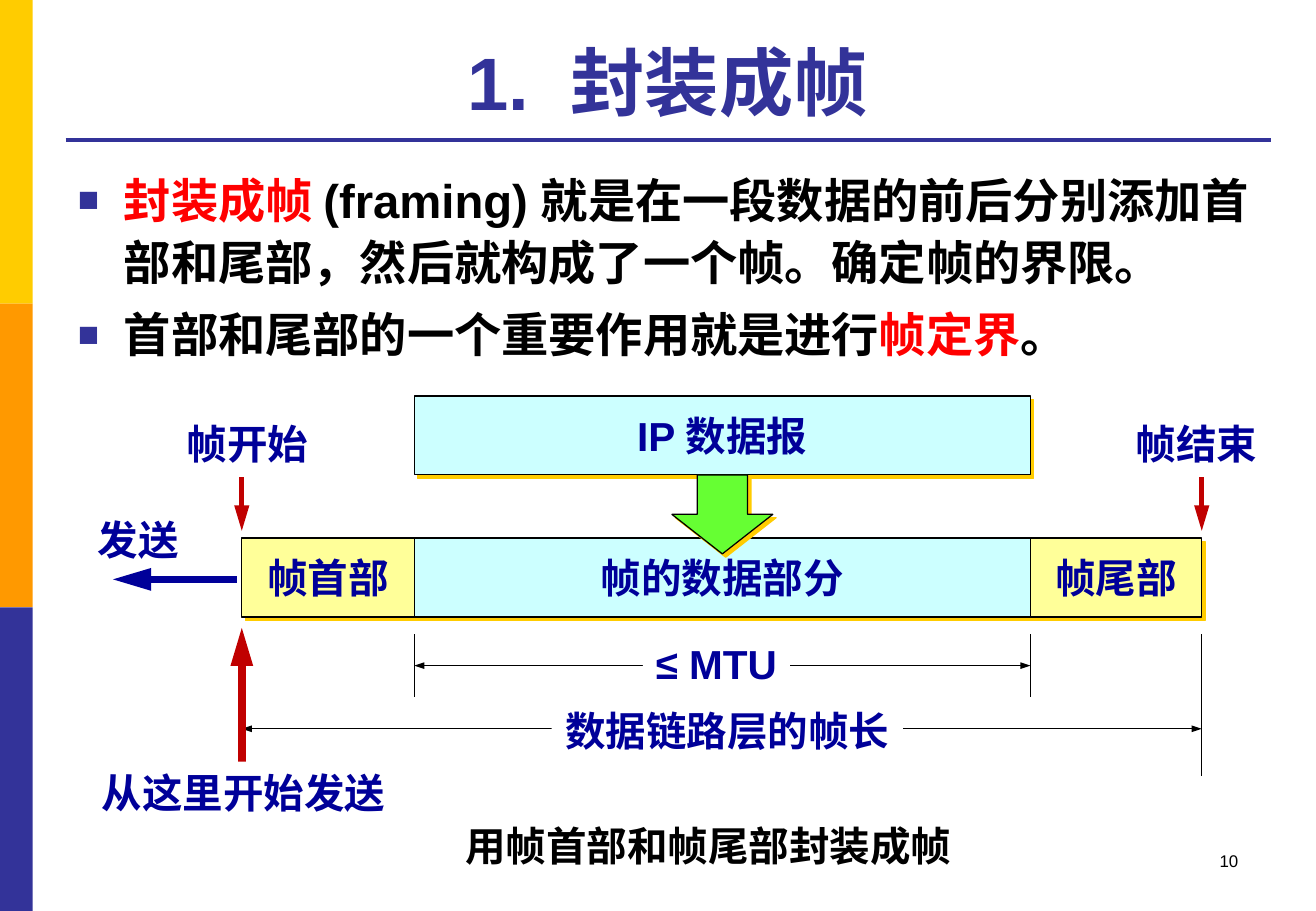
from dataclasses import dataclass

from lxml import etree
from pptx import Presentation
from pptx.dml.color import RGBColor
from pptx.enum.lang import MSO_LANGUAGE_ID
from pptx.enum.shapes import MSO_CONNECTOR, MSO_SHAPE
from pptx.enum.text import MSO_ANCHOR, MSO_AUTO_SIZE, PP_ALIGN
from pptx.oxml.ns import qn
from pptx.util import Inches, Pt

RECT, DOWN_ARROW = MSO_SHAPE.RECTANGLE, MSO_SHAPE.DOWN_ARROW
STRAIGHT = MSO_CONNECTOR.STRAIGHT
LEFT, CENTER, RIGHT = PP_ALIGN.LEFT, PP_ALIGN.CENTER, PP_ALIGN.RIGHT
TOP, MIDDLE, BOTTOM = MSO_ANCHOR.TOP, MSO_ANCHOR.MIDDLE, MSO_ANCHOR.BOTTOM
NO_AUTOSIZE = MSO_AUTO_SIZE.NONE
CHINESE = MSO_LANGUAGE_ID.SIMPLIFIED_CHINESE


@dataclass(frozen=True)
class Theme:
    font: str = "Arial"
    title: int = 44
    body: int = 28
    label: int = 24
    number: int = 10
    indigo: str = "333399"
    navy: str = "000099"
    gold: str = "FFCC00"
    orange: str = "FF9900"
    red: str = "FF0000"
    dark_red: str = "C00000"
    yellow: str = "FFFF99"
    cyan: str = "CCFFFF"
    green: str = "66FF33"
    white: str = "FFFFFF"
    black: str = "000000"
    hairline: float = 0.75


def rgb(color):
    return RGBColor.from_string(color)


class SlideBuilder:
    def __init__(self, prs, theme):
        self.theme = theme
        self.s = prs.slides.add_slide(prs.slide_layouts[1])

    def place(self, sp, left, top, width, height):
        box = {"left": left, "top": top, "width": width, "height": height}
        for name, value in box.items():
            setattr(sp, name, Inches(value))

    def frame(self, sp, anchor, wrap):
        tf = sp.text_frame
        options = {"auto_size": NO_AUTOSIZE, "word_wrap": wrap, "vertical_anchor": anchor}
        for name, value in options.items():
            setattr(tf, name, value)
        return tf

    def run(self, p, text, size, color, bold=True):
        r = p.add_run()
        r.text = text
        style = {"name": self.theme.font, "size": Pt(size), "bold": bold, "language_id": CHINESE}
        for name, value in style.items():
            setattr(r.font, name, value)
        r.font.color.rgb = rgb(color)

    def title(self, text, *box):
        sp = self.s.shapes.title
        self.place(sp, *box)
        p = self.frame(sp, BOTTOM, True).paragraphs[0]
        p.alignment = CENTER
        self.run(p, text, self.theme.title, self.theme.indigo)

    def bullet(self, p):
        pPr = p._p.get_or_add_pPr()
        pPr.set("marL", str(Inches(0.38)))
        pPr.set("indent", str(-Inches(0.38)))
        color = etree.SubElement(pPr, qn("a:buClr"))
        etree.SubElement(color, qn("a:srgbClr"), val=self.theme.indigo)
        etree.SubElement(pPr, qn("a:buSzPct"), val="75000")
        etree.SubElement(pPr, qn("a:buFont"), typeface=self.theme.font)
        etree.SubElement(pPr, qn("a:buChar"), char="■")

    def body(self, items, *box):
        sp = self.s.placeholders[1]
        self.place(sp, *box)
        tf = self.frame(sp, TOP, True)
        for i, runs in enumerate(items):
            p = tf.add_paragraph() if i else tf.paragraphs[0]
            self.bullet(p)
            spacing = {"alignment": LEFT, "line_spacing": 1.1, "space_before": Pt(6 if i else 0)}
            for name, value in spacing.items():
                setattr(p, name, value)
            for text, color in runs:
                self.run(p, text, self.theme.body, color)

    def shape(self, kind, fill, *box):
        sp = self.s.shapes.add_shape(kind, *map(Inches, box))
        sp.shadow.inherit = False
        sp.fill.solid()
        sp.fill.fore_color.rgb = rgb(fill)
        sp.line.fill.background()
        return sp

    def block(self, kind, fill, *box, text=None):
        sp = self.shape(kind, fill, *box)
        sp.line.color.rgb = rgb(self.theme.black)
        sp.line.width = Pt(self.theme.hairline)
        effects = sp._element.spPr.find(qn("a:effectLst"))
        shadow = etree.SubElement(effects, qn("a:outerShdw"), blurRad="0", dist=str(Pt(2.8)),
                                  dir="2700000", algn="ctr", rotWithShape="0")
        etree.SubElement(shadow, qn("a:srgbClr"), val=self.theme.gold)
        if text:
            p = self.frame(sp, MIDDLE, False).paragraphs[0]
            p.alignment = CENTER
            self.run(p, text, self.theme.label, self.theme.navy)

    def label(self, text, *box, fill=None, color=None, size=None, align=CENTER, bold=True):
        sp = self.s.shapes.add_textbox(*map(Inches, box))
        if fill:
            sp.fill.solid()
            sp.fill.fore_color.rgb = rgb(fill)
        p = self.frame(sp, TOP, align == RIGHT).paragraphs[0]
        p.alignment = align
        self.run(p, text, size or self.theme.label, color or self.theme.navy, bold)

    def line(self, x1, y1, x2, y2, color, width, ends=(), head=("med", "lg")):
        cx = self.s.shapes.add_connector(STRAIGHT, *map(Inches, (x1, y1, x2, y2)))
        cx.line.color.rgb = rgb(color)
        cx.line.width = Pt(width)
        ln = cx.line._get_or_add_ln()
        for end in ends:
            etree.SubElement(ln, qn(f"a:{end}"), type="triangle", w=head[0], len=head[1])
        etree.SubElement(cx._element.spPr, qn("a:effectLst"))


def main():
    prs = Presentation()
    prs.slide_width, prs.slide_height = Inches(10.83), Inches(7.5)
    t = Theme()
    b = SlideBuilder(prs, t)

    for i, color in enumerate((t.gold, t.orange, t.indigo)):
        b.shape(RECT, color, 0, 2.5 * i, 0.27, 2.5)
    b.line(0.54, 1.15, 10.46, 1.15, t.indigo, 2.25)
    b.title("1.  封装成帧", 0.54, 0.21, 9.91, 0.87)
    b.body([
        [("封装成帧 ", t.red),
         ("(framing) 就是在一段数据的前后分别添加首部和尾部，然后就构成了一个帧。确定帧的界限。", t.black)],
        [("首部和尾部的一个重要作用就是进行", t.black), ("帧定界", t.red), ("。", t.black)],
    ], 0.54, 1.31, 9.91, 5.4)

    start, data, trailer, end = 1.99, 3.41, 8.48, 9.89
    packet_top, frame_top, block_height = 3.26, 4.43, 0.65
    for text, fill, left, right, top in (
        ("帧首部", t.yellow, start, data, frame_top),
        ("IP 数据报", t.cyan, data, trailer, packet_top),
        ("帧的数据部分", t.cyan, data, trailer, frame_top),
        ("帧尾部", t.yellow, trailer, end, frame_top),
    ):
        b.block(RECT, fill, left, top, right - left, block_height, text=text)

    for left, right, y in ((data, trailer, 5.48), (start, end, 6)):
        b.line(left, y, right, y, t.black, t.hairline, ("headEnd", "tailEnd"), ("sm", "med"))
    for x, bottom in ((data, 5.74), (trailer, 5.74), (end, 6.39)):
        b.line(x, 5.22, x, bottom, t.black, t.hairline)
    b.line(start, 5.17, start, 6.34, t.dark_red, 4.5, ("headEnd",))

    for text, left, top, width in (
        ("帧开始", 1.43, 3.4, 1.21),
        ("帧结束", 9.24, 3.4, 1.21),
        ("≤ MTU", 5.29, 5.21, 1.21),
        ("数据链路层的帧长", 4.54, 5.76, 2.89),
        ("从这里开始发送", 0.59, 6.27, 2.83),
    ):
        b.label(text, left, top, width, 0.5, fill=t.white)

    b.block(DOWN_ARROW, t.green, 5.53, packet_top + block_height, 0.83, block_height)
    for x in (start, end):
        b.line(x, 4.37, x, 3.93, t.dark_red, 3, ("headEnd",))
    b.line(0.93, 4.77, 1.95, 4.77, t.navy, 4.5, ("headEnd",))
    b.label("发送", 0.61, 4.19, 1.06, 0.5)
    b.label("用帧首部和帧尾部封装成帧", 2.7, 6.71, 6.26, 0.5, color=t.black)
    b.label("10", 7.76, 6.95, 2.53, 0.5, color=t.black, size=t.number, align=RIGHT, bold=False)

    prs.save("out.pptx")


if __name__ == "__main__":
    main()
